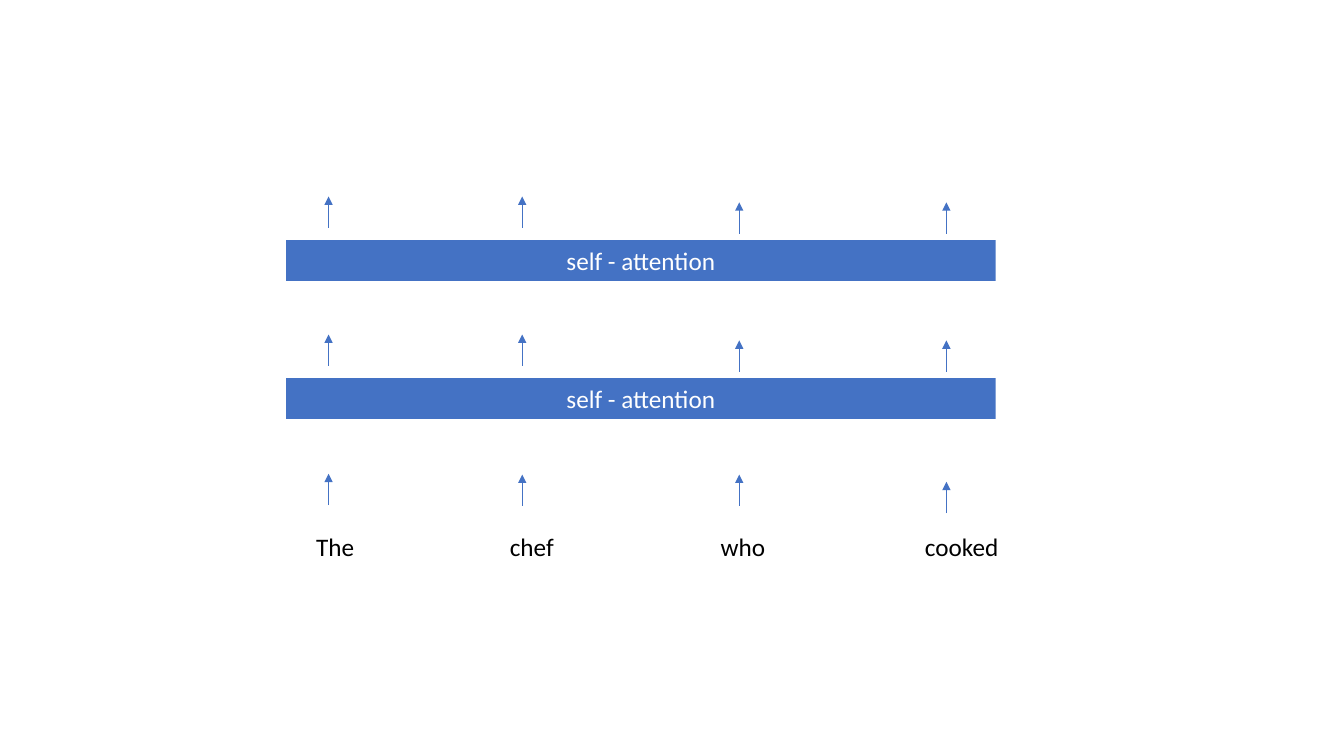
from lxml import etree
from pptx import Presentation
from pptx import util as u
from pptx.dml.color import RGBColor
from pptx.enum import shapes, text
from pptx.oxml.ns import qn

BLUE = RGBColor(0x44, 0x72, 0xC4)
BLACK = RGBColor(0, 0, 0)
WHITE = RGBColor(255, 255, 255)

BOX_HEIGHT = 1.03
ARROW_LENGTH = 0.79


def write_text(shape, words, color=BLACK, align=text.PP_ALIGN.LEFT, wrap=True):
    frame = shape.text_frame
    frame.word_wrap = wrap
    frame.auto_size = text.MSO_AUTO_SIZE.SHAPE_TO_FIT_TEXT
    paragraph = frame.paragraphs[0]
    paragraph.alignment = align
    run = paragraph.add_run()
    run.text = words
    run.font.name = "Calibri"
    run.font.size = u.Pt(18)
    run.font.color.rgb = color


def add_up_arrow(slide, x, bottom):
    arrow = slide.shapes.add_connector(
        shapes.MSO_CONNECTOR.STRAIGHT,
        u.Cm(x), u.Cm(bottom), u.Cm(x), u.Cm(bottom - ARROW_LENGTH))
    arrow.line.color.rgb = BLUE
    arrow.line.width = u.Pt(0.5)
    etree.SubElement(arrow.line._get_or_add_ln(), qn("a:tailEnd"), type="triangle")
    etree.SubElement(arrow._element.spPr, qn("a:effectLst"))


presentation = Presentation()
presentation.slide_width = u.Cm(33.87)
presentation.slide_height = u.Cm(19.05)
slide = presentation.slides.add_slide(presentation.slide_layouts[6])

# Input words: text, left, width, wrap
tokens = [
    ("The", 7.72, 1.47, False),
    ("chef", 12.6, 1.63, False),
    ("who", 17.91, 1.75, True),
    ("cooked", 23.06, 2.57, True),
]
for word, left, width, wrap in tokens:
    box = slide.shapes.add_textbox(u.Cm(left), u.Cm(13.26), u.Cm(width), u.Cm(BOX_HEIGHT))
    write_text(box, word, wrap=wrap)

# Arrows rising from the words
arrow_columns = [8.28, 13.16, 18.63, 23.85]
for x, bottom in zip(arrow_columns, [12.73, 12.75, 12.75, 12.93]):
    add_up_arrow(slide, x, bottom)

# Attention layers, each with the arrows above it
for layer_top in (9.53, 6.05):
    layer = slide.shapes.add_shape(
        shapes.MSO_SHAPE.RECTANGLE,
        u.Cm(7.21), u.Cm(layer_top), u.Cm(17.88), u.Cm(BOX_HEIGHT))
    layer.shadow.inherit = False
    layer.fill.solid()
    layer.fill.fore_color.rgb = BLUE
    layer.line.fill.background()
    write_text(layer, "self - attention", color=WHITE, align=text.PP_ALIGN.CENTER)
    for x, gap in zip(arrow_columns, [0.31, 0.31, 0.16, 0.16]):
        add_up_arrow(slide, x, layer_top - gap)

presentation.save("out.pptx")
